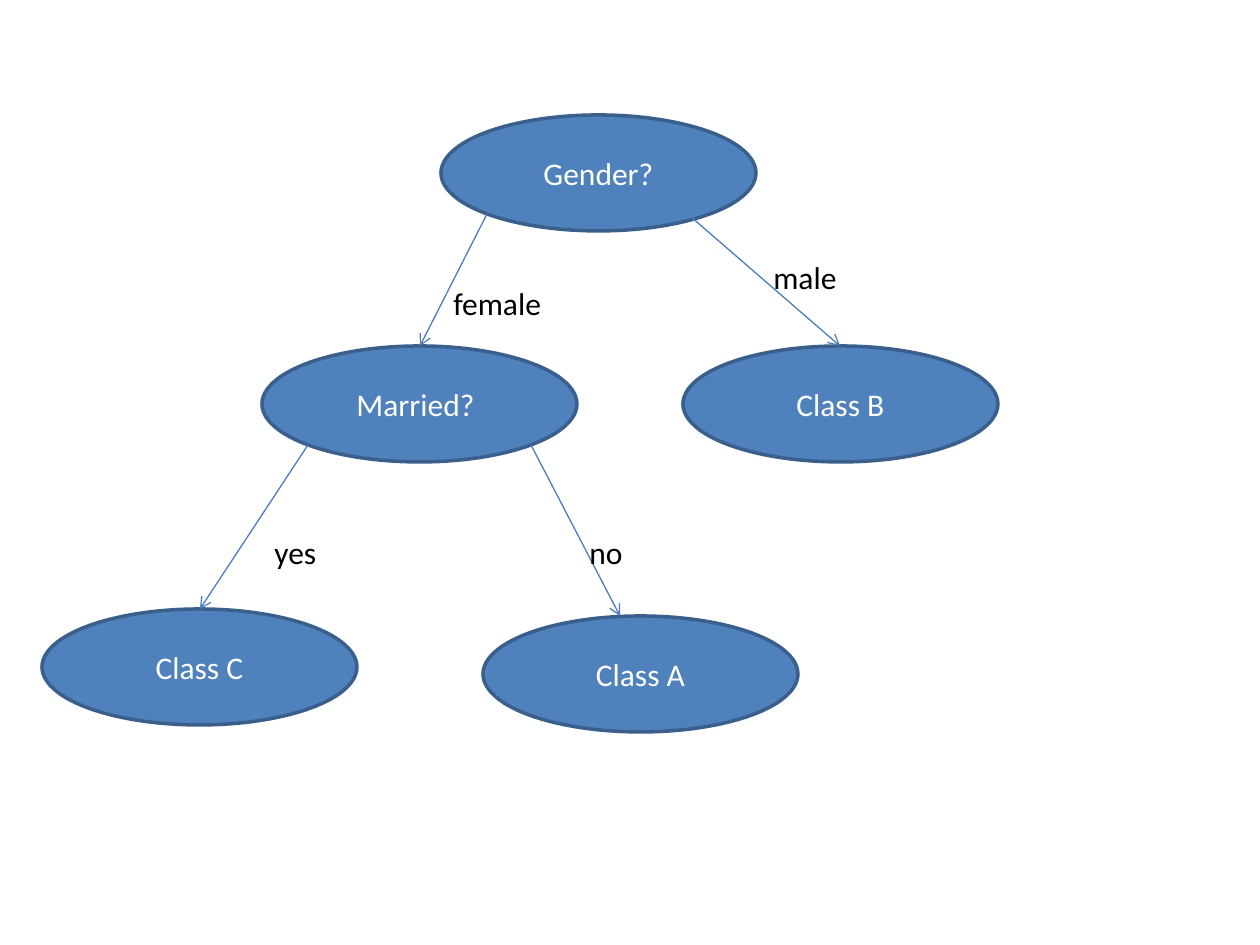
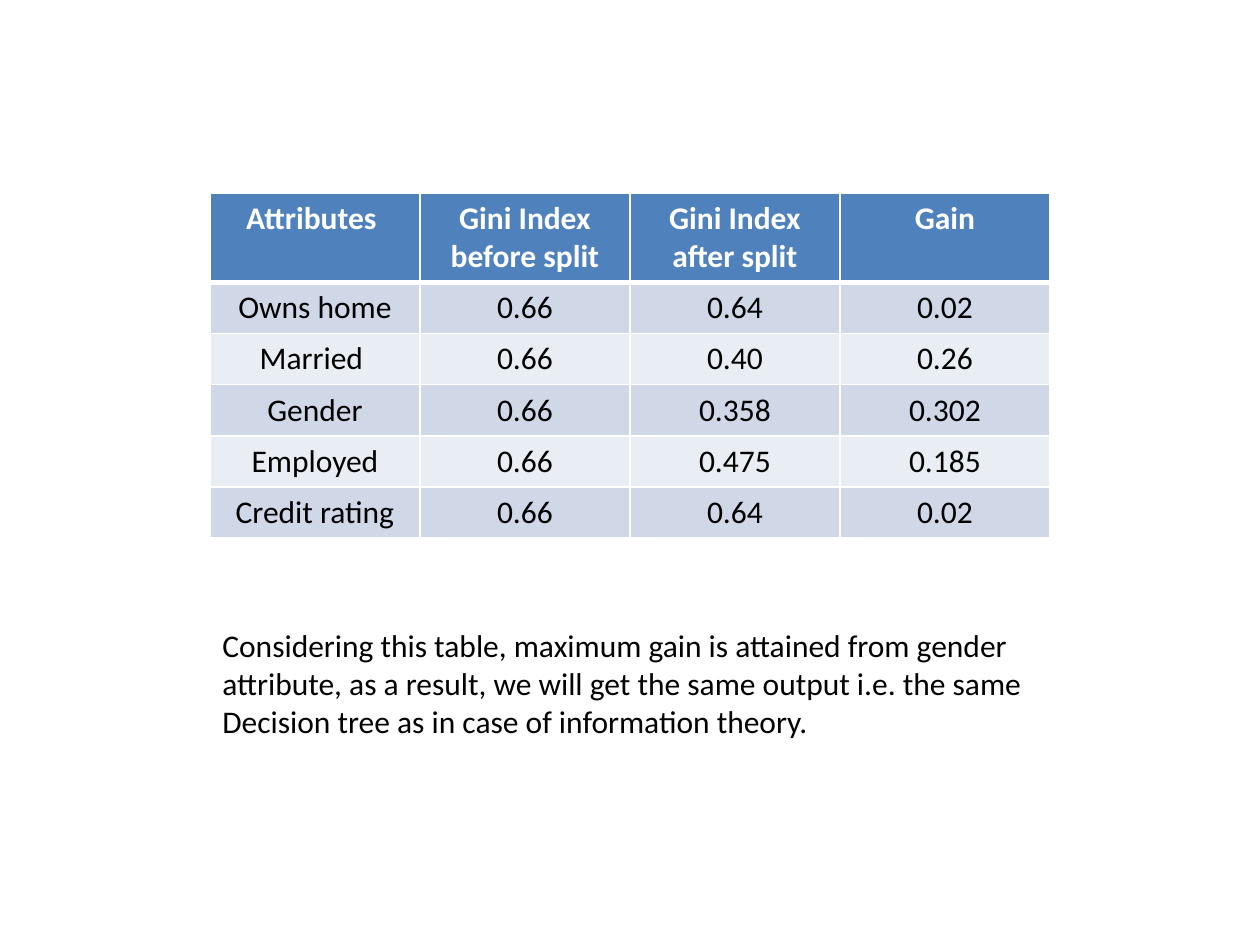
"""Build a decision tree slide and a Gini gain table slide."""
from lxml import etree
from pptx import Presentation
from pptx import util as u
from pptx.dml.color import RGBColor
from pptx.enum import shapes, text
from pptx.oxml import ns

PX = u.Inches(1) / 126
HEX = {"blue": "4F81BD", "outline": "3A5F8C", "arrow": "4B7EBC", "white": "FFFFFF",
       "black": "000000", "odd": "D0D8E8", "even": "E9EDF4"}
RGB = {name: RGBColor.from_string(value) for name, value in HEX.items()}
BODY = {"name": "Calibri", "size": u.Pt(18), "bold": False}


def px(*lengths):
    return [u.Emu(round(n * PX)) for n in lengths]


def write(tf, lines, color, align, **extra):
    for i, line in enumerate(lines):
        p = tf.paragraphs[0] if i == 0 else tf.add_paragraph()
        p.alignment = align
        r = p.add_run()
        r.text = line
        for key, value in {**BODY, **extra}.items():
            setattr(r.font, key, value)
        r.font.color.rgb = RGB[color]


prs = Presentation()
prs.slide_width, prs.slide_height = px(1260, 945)
blank = prs.slide_layouts[6]
center = text.PP_ALIGN.CENTER

tree = prs.slides.add_slide(blank)
node_w, node_h = 315, 116
nodes = [("Gender?", 441, 115), ("Class B", 683, 346), ("Married?\t", 262, 346),
         ("Class C", 42, 609), ("Class A", 483, 616)]
for label, x, y in nodes:
    sp = tree.shapes.add_shape(shapes.MSO_SHAPE.OVAL, *px(x, y, node_w, node_h))
    sp.shadow.inherit = False
    sp.fill.solid()
    sp.fill.fore_color.rgb = RGB["blue"]
    sp.line.color.rgb = RGB["outline"]
    sp.line.width = u.Pt(2)
    sp.text_frame.vertical_anchor = text.MSO_ANCHOR.MIDDLE
    write(sp.text_frame, [label], "white", center)

branches = [(683, 210, 840, 346), (487, 214, 420, 346),
            (308, 445, 200, 609), (531, 445, 620, 616)]
for ends in branches:
    arrow = tree.shapes.add_connector(shapes.MSO_CONNECTOR.STRAIGHT, *px(*ends))
    arrow.line.color.rgb = RGB["arrow"]
    arrow.line.width = u.Pt(0.75)
    ln = arrow.line._get_or_add_ln()
    etree.SubElement(ln, ns.qn("a:tailEnd"), type="arrow")
    etree.SubElement(ln.getparent(), ns.qn("a:effectLst"))

answers = [("male", 761, 252, 89, False), ("female", 441, 278, 136, True),
           ("yes", 262, 527, 68, False), ("no", 577, 527, 59, False)]
for label, x, y, w, wrap in answers:
    tf = tree.shapes.add_textbox(*px(x, y, w, 51)).text_frame
    tf.word_wrap = wrap
    tf.auto_size = text.MSO_AUTO_SIZE.SHAPE_TO_FIT_TEXT
    write(tf, [label], "black", text.PP_ALIGN.LEFT)

gains = prs.slides.add_slide(blank)
rows = [("Attributes ", "Gini Index before split", "Gini Index after split", "Gain"),
        ("Owns home", "0.66", "0.64", "0.02"),
        ("Married ", "0.66", "0.40", "0.26"),
        ("Gender", "0.66", "0.358", "0.302"),
        ("Employed", "0.66", "0.475", "0.185"),
        ("Credit rating", "0.66", "0.64", "0.02")]
head_h, row_h = 88, 51
table_h = head_h + row_h * (len(rows) - 1)
table = gains.shapes.add_table(len(rows), 4, *px(210, 193, 840, table_h)).table
for i, row in enumerate(rows):
    head = i == 0
    table.rows[i].height = px(head_h if head else row_h)[0]
    fill = "blue" if head else "odd" if i % 2 else "even"
    for j, value in enumerate(row):
        cell = table.cell(i, j)
        tcPr = cell._tc.get_or_add_tcPr()
        for side in "LRTB":
            thick = (head and side == "B") or (i == 1 and side == "T")
            ln = etree.SubElement(tcPr, ns.qn("a:ln" + side), w=str(u.Pt(3 if thick else 1)))
            paint = etree.SubElement(ln, ns.qn("a:solidFill"))
            etree.SubElement(paint, ns.qn("a:srgbClr"), val=HEX["white"])
        cell.fill.solid()
        cell.fill.fore_color.rgb = RGB[fill]
        write(cell.text_frame, [value], "white" if head else "black", center, bold=head)

tf = gains.shapes.add_textbox(*px(210, 620, 863, 127)).text_frame
tf.word_wrap = True
tf.auto_size = text.MSO_AUTO_SIZE.SHAPE_TO_FIT_TEXT
write(tf, ["Considering this table, maximum gain is attained from gender ",
           "attribute, as a result, we will get the same output i.e. the same ",
           "Decision tree as in case of information theory."],
      "black", text.PP_ALIGN.JUSTIFY)

prs.save("out.pptx")
